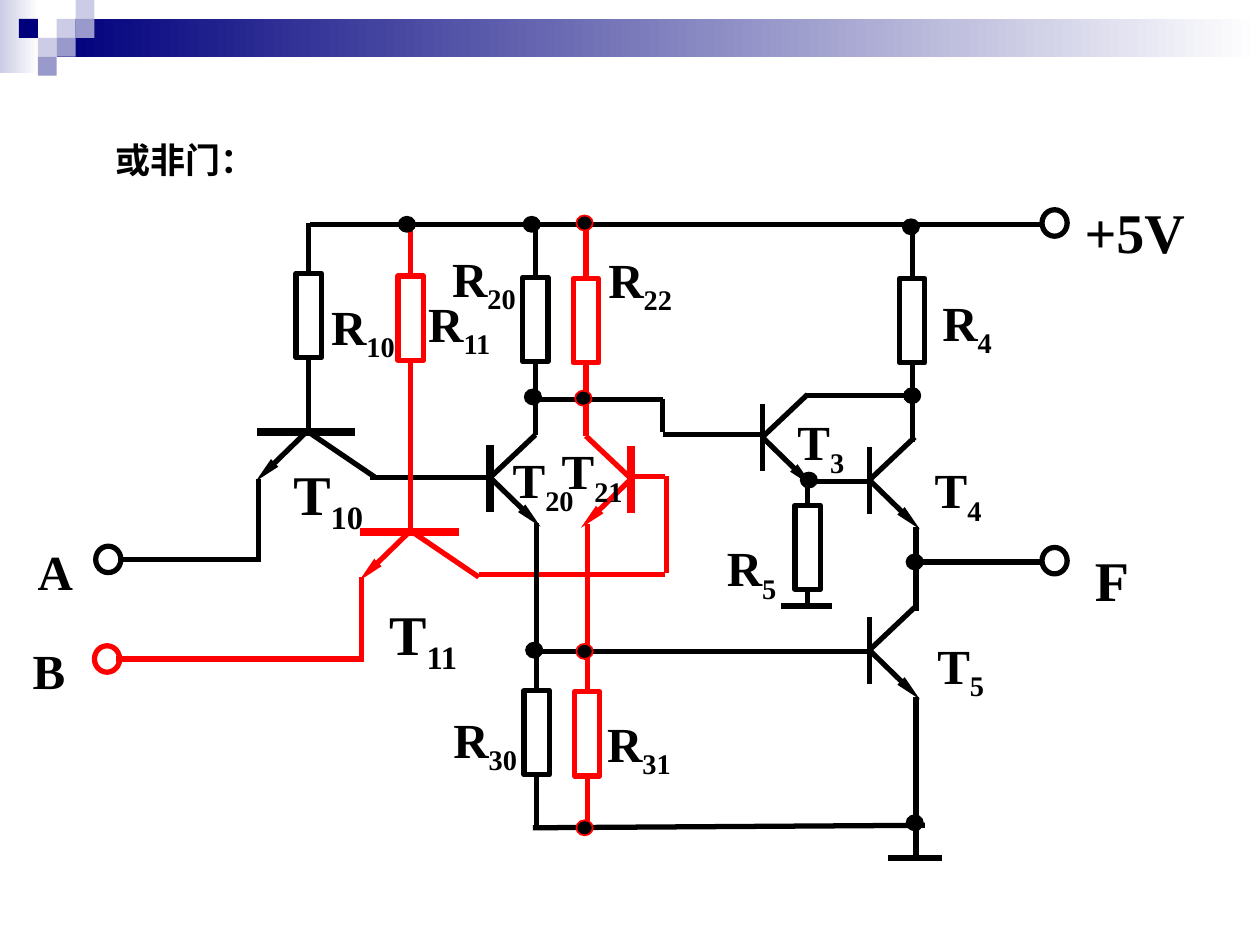
from dataclasses import dataclass

from lxml import etree
from pptx import Presentation
from pptx.dml.color import RGBColor
from pptx.enum import shapes, text
from pptx.oxml import ns
from pptx.util import Inches, Pt


@dataclass(frozen=True)
class Theme:
    black: str = "000000"
    red: str = "FF0000"
    white: str = "FFFFFF"
    navy: str = "00007D"
    lilac: str = "CCCCE6"
    violet: str = "9999CC"
    font: str = "Times New Roman"
    title: int = 20
    label: int = 28
    large: int = 32
    thin: float = 1
    wire: float = 3
    bar: float = 4.5


THEME = Theme()
RESISTOR_WIDTH, RESISTOR_HEIGHT = 0.2, 0.67


def rgb(color):
    return RGBColor.from_string(color)


def add_shape(slide, kind, left, top, width, height, fill=None, line=None, weight=THEME.wire):
    shape = slide.shapes.add_shape(kind, Inches(left), Inches(top), Inches(width), Inches(height))
    shape.shadow.inherit = False
    if fill:
        shape.fill.solid()
        shape.fill.fore_color.rgb = rgb(fill)
    else:
        shape.fill.background()
    if line:
        shape.line.color.rgb = rgb(line)
        shape.line.width = Pt(weight)
    else:
        shape.line.fill.background()
    return shape


def add_wire(slide, start, end, color=THEME.black, weight=THEME.wire, arrow=False):
    wire = slide.shapes.add_connector(
        shapes.MSO_CONNECTOR.STRAIGHT, *(Inches(value) for value in (*start, *end)))
    wire.line.color.rgb = rgb(color)
    wire.line.width = Pt(weight)
    if arrow:
        etree.SubElement(wire.line._get_or_add_ln(), ns.qn("a:tailEnd"),
                         type="triangle", w="sm", len="lg")
    etree.SubElement(wire._element.spPr, ns.qn("a:effectLst"))
    return wire


def add_resistor(slide, x, top, upper_end, lower_end, color):
    bottom = top + RESISTOR_HEIGHT
    resistor = add_shape(slide, shapes.MSO_SHAPE.RECTANGLE, x - RESISTOR_WIDTH / 2, top,
                         RESISTOR_WIDTH, RESISTOR_HEIGHT, line=color)
    add_wire(slide, (x, top), (x, upper_end), color).begin_connect(resistor, 0)
    add_wire(slide, (x, bottom), (x, lower_end), color).begin_connect(resistor, 2)


def add_transistor(slide, x, y, color=THEME.black, weight=THEME.wire, side=1):
    add_wire(slide, (x, y - 0.26), (x, y + 0.27), color, weight)
    add_wire(slide, (x, y), (x + side * 0.4, y + 0.39), color, arrow=True)
    add_wire(slide, (x, y), (x + side * 0.36, y - 0.34), color)


def add_input_transistor(slide, x, y, color):
    add_wire(slide, (x - 0.41, y), (x + 0.37, y), color, THEME.bar)
    add_wire(slide, (x - 0.02, y), (x - 0.42, y + 0.39), color, arrow=True)
    add_wire(slide, (x, y), (x + 0.53, y + 0.36), color)


def add_circle(slide, x, y, width, height, **style):
    add_shape(slide, shapes.MSO_SHAPE.OVAL, x - width / 2, y - height / 2, width, height, **style)


def add_terminal(slide, x, y, color):
    add_circle(slide, x, y, 0.2, 0.21, line=color)


def add_node(slide, x, y, color):
    add_circle(slide, x, y, 0.13, 0.12, fill=THEME.black, line=color, weight=THEME.thin)


def set_font(paragraph, size):
    paragraph.font.name = THEME.font
    paragraph.font.size = Pt(size)
    paragraph.font.bold = True
    paragraph.font.color.rgb = rgb(THEME.black)


def add_label(slide, name, subscript, left, top, width, size=THEME.label):
    height = 0.57 if size == THEME.label else 0.63
    box = slide.shapes.add_textbox(Inches(left), Inches(top), Inches(width), Inches(height))
    frame = box.text_frame
    frame.word_wrap = True
    frame.margin_top, frame.margin_bottom = Inches(0.1), 0
    paragraph = frame.paragraphs[0]
    set_font(paragraph, size)
    paragraph.add_run().text = name
    if subscript:
        run = paragraph.add_run()
        run.text = subscript
        run.font._element.set("baseline", "-25000")


def add_title(slide, title):
    box = slide.shapes.add_textbox(Inches(0.7), Inches(1.05), Inches(1.27), Inches(0.43))
    frame = box.text_frame
    frame.word_wrap = False
    frame.vertical_anchor = text.MSO_ANCHOR.MIDDLE
    paragraph = frame.paragraphs[0]
    paragraph.text = title
    paragraph.alignment = text.PP_ALIGN.CENTER
    set_font(paragraph, THEME.title)


def add_gradient_band(slide, left, top, width, height, color):
    band = add_shape(slide, shapes.MSO_SHAPE.RECTANGLE, left, top, width, height)
    band.fill.gradient()
    band.fill.gradient_angle = 0
    for stop, stop_color in zip(band.fill.gradient_stops, (color, THEME.white)):
        stop.color.rgb = rgb(stop_color)


def add_header(slide):
    add_gradient_band(slide, 0, 0, 0.31, 0.58, THEME.lilac)
    add_gradient_band(slide, 0.45, 0.15, 9.55, 0.3, THEME.navy)
    unit = 0.15
    for column, row, color in (
            (3, 1, THEME.lilac), (4, 0, THEME.lilac), (4, 1, THEME.violet),
            (2, 2, THEME.lilac), (1, 1, THEME.navy), (3, 2, THEME.violet),
            (2, 3, THEME.violet)):
        add_shape(slide, shapes.MSO_SHAPE.RECTANGLE, column * unit, row * unit, unit, unit, color)


def add_circuit(slide):
    black, red = THEME.black, THEME.red
    wires = {
        black: [
            ((2.46, 1.78), (8.28, 1.78)), ((2.94, 3.79), (3.89, 3.79)),
            ((4.25, 3.17), (5.26, 3.17)), ((5.26, 3.17), (5.26, 3.43)),
            ((6.05, 3.45), (5.26, 3.45)), ((6.39, 3.82), (6.9, 3.82)),
            ((6.39, 3.14), (7.24, 3.14)), ((6.2, 4.81), (6.6, 4.81)),
            ((6.89, 5.17), (4.29, 5.17)), ((4.23, 6.57), (7.34, 6.55)),
            ((7.27, 4.18), (7.27, 4.85)), ((7.27, 5.53), (7.27, 6.82)),
            ((7.05, 6.81), (7.48, 6.81)), ((7.27, 4.46), (8.27, 4.46)),
            ((2.05, 3.8), (2.05, 4.46)), ((2.07, 4.44), (0.97, 4.44))],
        red: [
            ((2.89, 5.23), (0.92, 5.23)), ((2.87, 4.58), (2.87, 5.24)),
            ((5.03, 3.78), (5.28, 3.78)), ((5.29, 3.78), (5.29, 4.55)),
            ((3.8, 4.56), (5.28, 4.56))]}
    for color, segments in wires.items():
        for start, end in segments:
            add_wire(slide, start, end, color)

    for resistor in (
            (2.45, 2.17, 1.77, 3.43, black), (4.25, 2.2, 1.77, 3.45, black),
            (7.24, 2.21, 1.78, 3.51, black), (6.41, 4.01, 3.8, 4.82, black),
            (4.26, 5.48, 4.15, 6.59, black), (3.26, 2.19, 1.78, 4.22, red),
            (4.65, 2.21, 1.78, 3.46, red), (4.66, 5.49, 4.16, 6.6, red)):
        add_resistor(slide, *resistor)

    add_input_transistor(slide, 2.45, 3.43, black)
    add_input_transistor(slide, 3.27, 4.22, red)
    add_transistor(slide, 3.89, 3.79, weight=THEME.bar)
    add_transistor(slide, 5.01, 3.8, red, THEME.bar, side=-1)
    for x, y in ((6.05, 3.47), (6.9, 3.81), (6.9, 5.16)):
        add_transistor(slide, x, y)

    for x, y, color in ((8.37, 1.77, black), (8.37, 4.45, black),
                        (0.86, 4.44, black), (0.85, 5.23, red)):
        add_terminal(slide, x, y, color)

    nodes = {
        black: [(3.23, 1.78), (4.22, 1.78), (7.23, 1.8), (4.23, 3.15), (7.24, 3.14),
                (6.42, 3.81), (7.26, 4.46), (4.24, 5.16), (7.26, 6.53)],
        red: [(4.64, 1.77), (4.63, 3.16), (4.64, 5.17), (4.64, 6.57)]}
    for color, centers in nodes.items():
        for x, y in centers:
            add_node(slide, x, y, color)


def add_labels(slide):
    for label in (
            ("+5V", "", 8.51, 1.47, 1.33, THEME.large), ("F", "", 8.59, 4.23, 0.79, THEME.large),
            ("A", "", 0.2, 4.2, 0.75), ("B", "", 0.16, 4.98, 0.75),
            ("R", "10", 2.53, 2.25, 1.11), ("R", "11", 3.3, 2.23, 1.11),
            ("R", "20", 3.49, 1.87, 1.11), ("R", "22", 4.73, 1.88, 1.11),
            ("R", "4", 7.38, 2.22, 1.11), ("R", "5", 5.67, 4.17, 0.67),
            ("R", "30", 3.5, 5.53, 1.09), ("R", "31", 4.72, 5.56, 1.09),
            ("T", "10", 2.23, 3.55, 0.77, THEME.large), ("T", "11", 2.99, 4.66, 0.77, THEME.large),
            ("T", "20", 3.97, 3.47, 0.81), ("T", "21", 4.36, 3.4, 0.97),
            ("T", "3", 6.23, 3.17, 1.05), ("T", "4", 7.32, 3.55, 0.71),
            ("T", "5", 7.34, 4.94, 0.71)):
        add_label(slide, *label)


def main():
    presentation = Presentation()
    presentation.slide_width, presentation.slide_height = Inches(10), Inches(7.5)
    slide = presentation.slides.add_slide(presentation.slide_layouts[6])
    add_header(slide)
    add_title(slide, "或非门：")
    add_circuit(slide)
    add_labels(slide)
    presentation.save("out.pptx")


if __name__ == "__main__":
    main()
